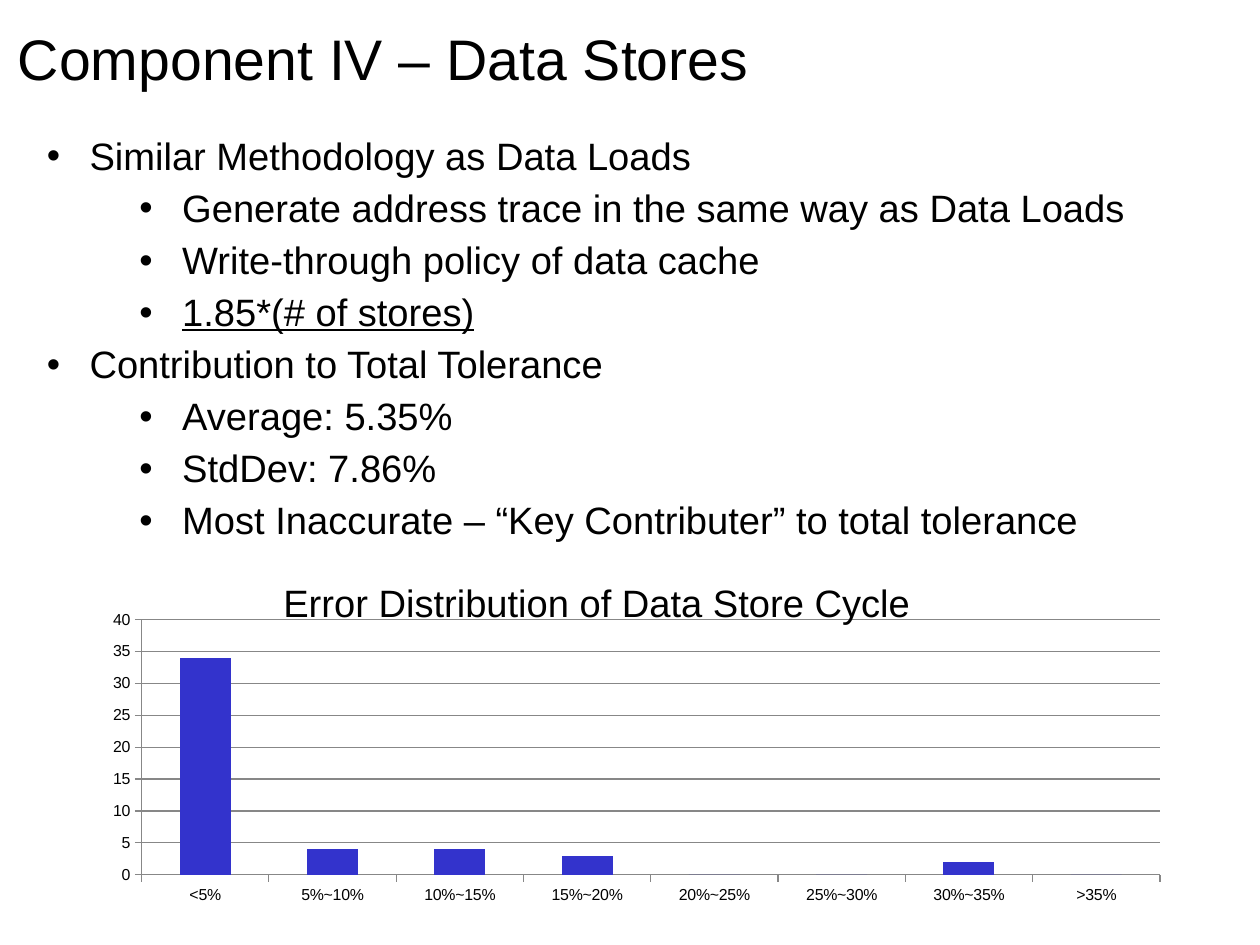
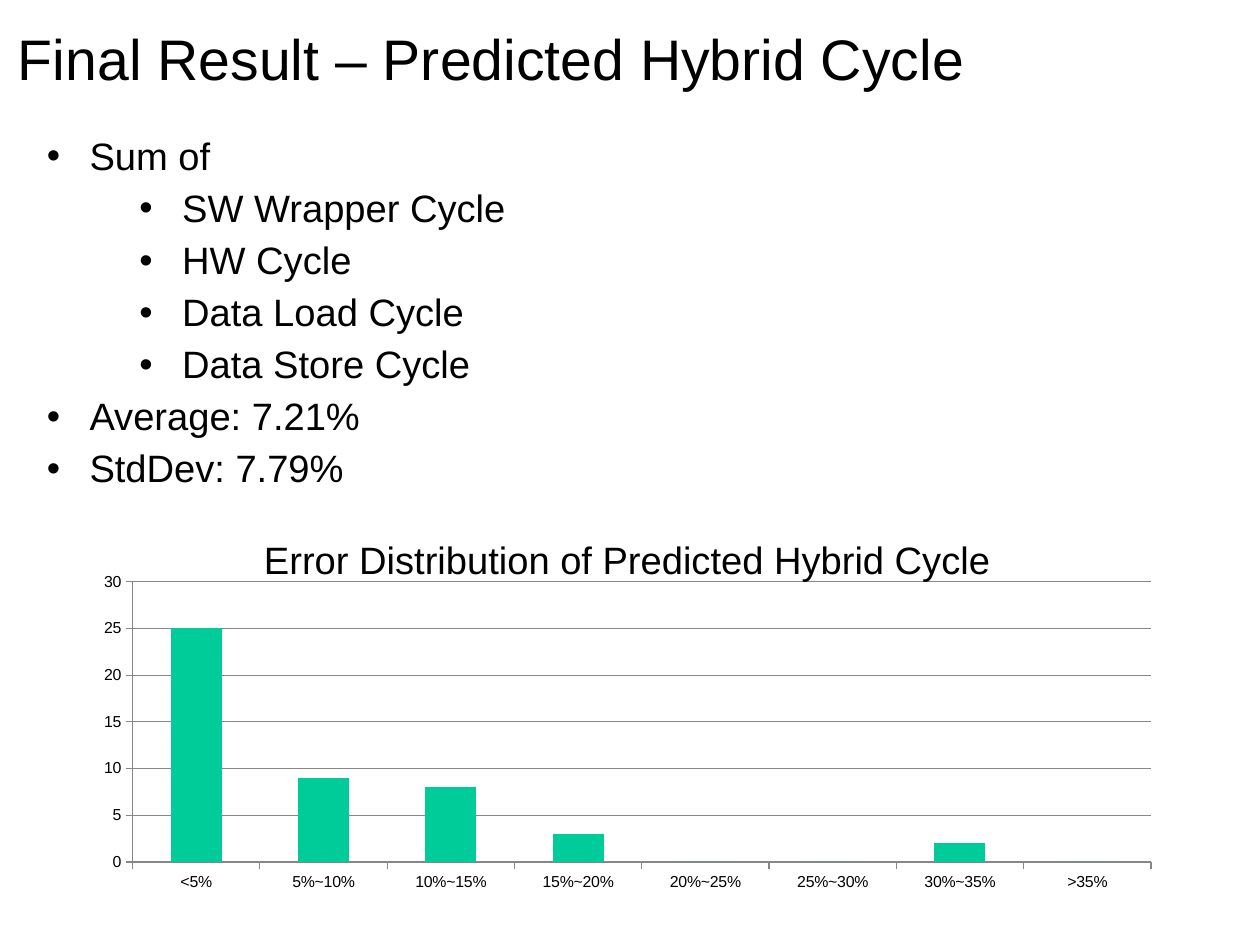
from lxml import etree
from pptx import Presentation
from pptx.chart.data import CategoryChartData
from pptx.dml.color import RGBColor
from pptx.enum import chart as ch, text
from pptx.oxml import ns
from pptx.util import Cm, Pt

COLORS = {"ink": "000000", "grid": "878787", "stores": "3333CC", "hybrid": "00CC99"}
FONT = "Arial"
BINS = ["<5%", "5%~10%", "10%~15%", "15%~20%", "20%~25%", "25%~30%", "30%~35%", ">35%"]

# Each bullet is (level, text, underlined); chart "at" is left, top, width, height in cm
SLIDES = [
    {"title": "Component IV – Data Stores",
     "bullets": [(0, "Similar Methodology as Data Loads", False),
                 (1, "Generate address trace in the same way as Data Loads", False),
                 (1, "Write-through policy of data cache", False),
                 (1, "1.85*(# of stores)", True),
                 (0, "Contribution to Total Tolerance", False),
                 (1, "Average: 5.35%", False),
                 (1, "StdDev: 7.86%", False),
                 (1, "Most Inaccurate – “Key Contributer” to total tolerance", False)],
     "body_height": 9.4, "color": "stores", "at": (1.19, 12.29, 25.4, 8),
     "chart_title": "Error Distribution of Data Store Cycle", "title_x": 0.195,
     "values": [34, 4, 4, 3, 0, 0, 2, 0], "top": 40},
    {"title": "Final Result – Predicted Hybrid Cycle",
     "bullets": [(0, "Sum of", False),
                 (1, "SW Wrapper Cycle", False),
                 (1, "HW Cycle", False),
                 (1, "Data Load Cycle", False),
                 (1, "Data Store Cycle", False),
                 (0, "Average: 7.21%", False),
                 (0, "StdDev: 7.79%", False)],
     "body_height": 8.23, "color": "hybrid", "at": (0.99, 11.3, 25.4, 8.79),
     "chart_title": "Error Distribution of Predicted Hybrid Cycle", "title_x": 0.186,
     "values": [25, 9, 8, 3, 0, 0, 2, 0], "top": 30},
]


def add_run(p, words, size):
    r = p.add_run()
    r.text = words
    r.font.size, r.font.name = Pt(size), FONT
    r.font.color.rgb = RGBColor.from_string(COLORS["ink"])
    return r


def set_layout(parent, index, **settings):
    """Fix the place of a chart part, as fractions of the chart."""
    for old in parent.findall(ns.qn("c:layout")):
        parent.remove(old)
    layout = etree.Element(ns.qn("c:layout"))
    manual = etree.SubElement(layout, ns.qn("c:manualLayout"))
    for tag, value in settings.items():
        etree.SubElement(manual, ns.qn("c:" + tag), val=str(value))
    parent.insert(index, layout)


prs = Presentation()
prs.slide_width, prs.slide_height = Cm(28), Cm(21)

for page in SLIDES:
    s = prs.slides.add_slide(prs.slide_layouts[6])

    # Title
    tf = s.shapes.add_textbox(Cm(0.4), Cm(0.1), Cm(24), Cm(2.41)).text_frame
    tf.word_wrap = True
    tf.vertical_anchor = text.MSO_ANCHOR.MIDDLE
    tf.margin_left = tf.margin_right = tf.margin_bottom = 0
    tf.margin_top = Cm(0.1)
    tf.paragraphs[0].line_spacing = 0.93
    add_run(tf.paragraphs[0], page["title"], 36)

    # Bullets
    tf = s.shapes.add_textbox(Cm(0.79), Cm(2.9), Cm(25.8), Cm(page["body_height"])).text_frame
    tf.word_wrap = True
    tf.auto_size = text.MSO_AUTO_SIZE.SHAPE_TO_FIT_TEXT
    for i, (level, words, underlined) in enumerate(page["bullets"]):
        p = tf.add_paragraph() if i else tf.paragraphs[0]
        p.level, p.line_spacing, p.space_before = level, 0.93, Pt(6)
        pPr = p._p.get_or_add_pPr()
        pPr.set("marL", str(Cm(0.95 + 2.06 * level)))
        pPr.set("indent", str(Cm(-0.95)))
        color = etree.SubElement(pPr, ns.qn("a:buClr"))
        etree.SubElement(color, ns.qn("a:srgbClr"), val=COLORS["ink"])
        etree.SubElement(pPr, ns.qn("a:buFont"), typeface=FONT)
        etree.SubElement(pPr, ns.qn("a:buChar"), char="•")
        r = add_run(p, words, 24)
        if underlined:
            r.font.underline = True

    # Error distribution chart
    data = CategoryChartData()
    data.categories = BINS
    data.add_series("Series 1", page["values"])
    chart = s.shapes.add_chart(ch.XL_CHART_TYPE.COLUMN_CLUSTERED,
                               *[Cm(n) for n in page["at"]], data).chart
    chart.has_legend = False
    chart.font.size, chart.font.name = Pt(10), FONT
    chart.font.color.rgb = RGBColor.from_string(COLORS["ink"])

    title = chart.chart_title
    r = add_run(title.text_frame.paragraphs[0], page["chart_title"], 24)
    r.font.bold = False
    title.include_in_layout = False
    set_layout(title._element, 1, xMode="edge", yMode="edge", x=page["title_x"], y=0.05)
    set_layout(chart._chartSpace.chart.plotArea, 0, layoutTarget="inner",
               xMode="edge", yMode="edge", x=0.077, y=0.185, w=0.891, h=0.709)

    plot = chart.plots[0]
    plot.vary_by_categories = False
    plot.gap_width = 150
    fill = plot.series[0].format.fill
    fill.solid()
    fill.fore_color.rgb = RGBColor.from_string(COLORS[page["color"]])

    # Axes and grid
    values = chart.value_axis
    values.minimum_scale, values.maximum_scale, values.major_unit = 0, page["top"], 5
    values.has_major_gridlines = True
    for axis in (chart.category_axis, values):
        axis.major_tick_mark = ch.XL_TICK_MARK.OUTSIDE
        axis.minor_tick_mark = ch.XL_TICK_MARK.NONE
    for part in (chart.category_axis, values, values.major_gridlines):
        part.format.line.width = Pt(0.75)
        part.format.line.color.rgb = RGBColor.from_string(COLORS["grid"])

prs.save("out.pptx")
